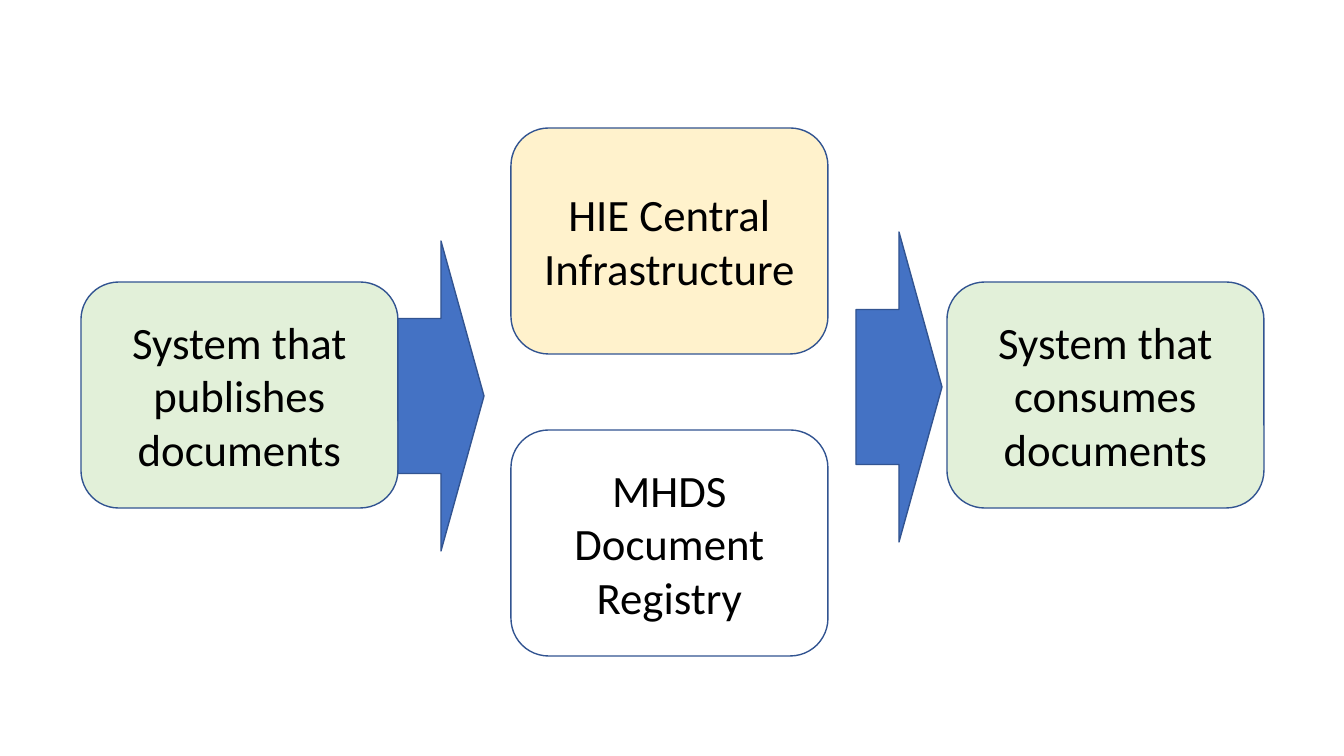
from pptx import Presentation
from pptx.dml.color import RGBColor
from pptx.enum.shapes import MSO_SHAPE
from pptx.enum.text import MSO_ANCHOR, PP_ALIGN
from pptx.util import Pt

ROUNDED = MSO_SHAPE.ROUNDED_RECTANGLE
ARROW = MSO_SHAPE.RIGHT_ARROW
MIDDLE = MSO_ANCHOR.MIDDLE
CENTER = PP_ALIGN.CENTER

EMU_PER_PX = 914400 / 100.8
OUTLINE = "325491"
GREEN, CREAM, WHITE, BLUE = "E2F0D9", "FFF2CC", "FFFFFF", "4472C4"
BOX_W, BOX_H = 317, 226
ARROW_W, ARROW_H = 86, 310


def add_block(kind, x, y, w, h, fill):
    """Add an outlined preset shape, measured in pixels."""
    sp = s.shapes.add_shape(kind, *(round(v * EMU_PER_PX) for v in (x, y, w, h)))
    sp.shadow.inherit = False
    sp.fill.solid()
    sp.fill.fore_color.rgb = RGBColor.from_string(fill)
    sp.line.color.rgb = RGBColor.from_string(OUTLINE)
    sp.line.width = Pt(1)
    return sp


def set_text(sp, text, size=32, font="Calibri", color="000000"):
    """Write wrapped text in the centre of a shape."""
    tf = sp.text_frame
    tf.word_wrap = True
    tf.vertical_anchor = MIDDLE
    p = tf.paragraphs[0]
    p.alignment = CENTER
    r = p.add_run()
    r.text = text
    r.font.size = Pt(size)
    r.font.name = font
    r.font.color.rgb = RGBColor.from_string(color)


prs = Presentation()
prs.slide_width = round(1344 * EMU_PER_PX)
prs.slide_height = round(756 * EMU_PER_PX)
s = prs.slides.add_slide(prs.slide_layouts[6])

# Central services, then the publishing and consuming systems
boxes = [
    (511, 128, CREAM, "HIE Central Infrastructure"),
    (511, 430, WHITE, "MHDS Document Registry"),
    (81, 282, GREEN, "System that publishes documents"),
    (947, 282, GREEN, "System that consumes documents"),
]
for x, y, fill, text in boxes:
    set_text(add_block(ROUNDED, x, y, BOX_W, BOX_H, fill), text)

# Document flow into and out of the centre
for x, y in [(398, 241), (856, 232)]:
    add_block(ARROW, x, y, ARROW_W, ARROW_H, BLUE)

prs.save("out.pptx")
